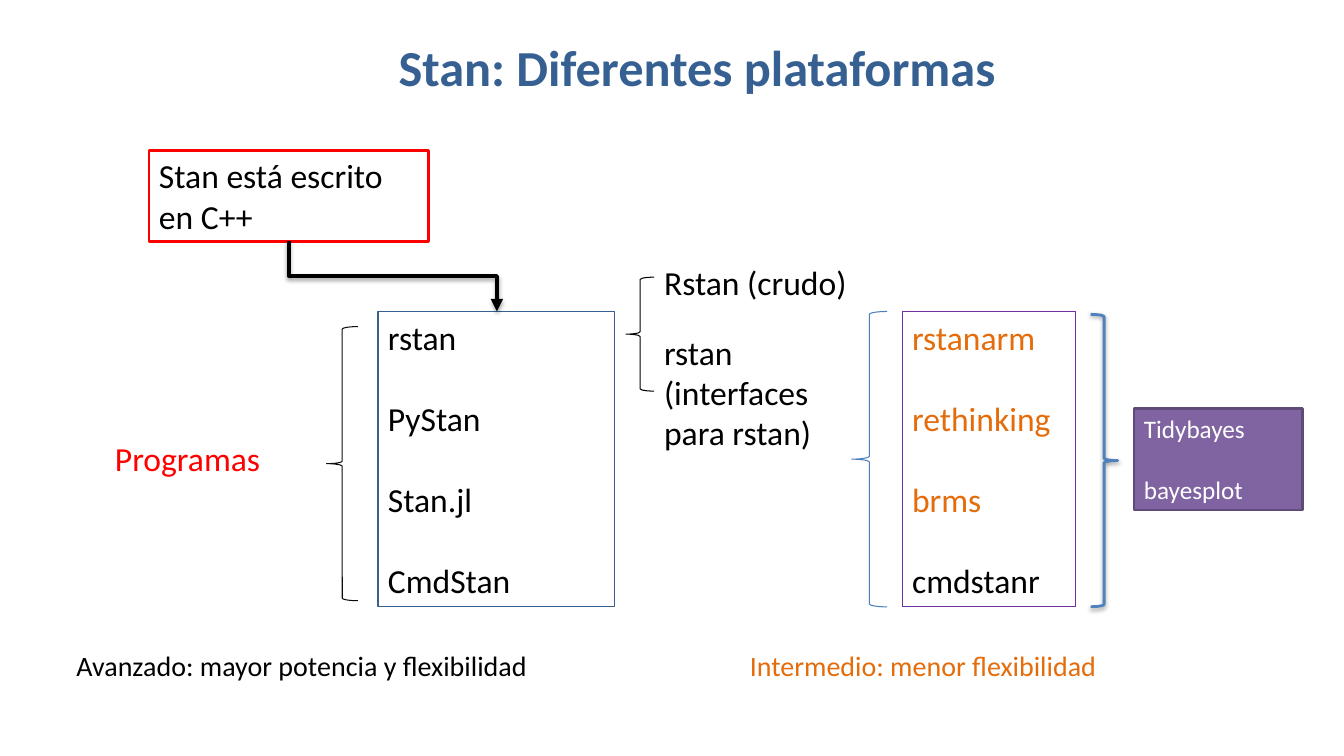
from lxml.etree import SubElement as Sub
from pptx import Presentation
from pptx.dml.color import RGBColor
from pptx.enum.shapes import MSO_CONNECTOR as Conn, MSO_SHAPE as Kind
from pptx.enum.text import MSO_ANCHOR as Anchor, PP_ALIGN as Align
from pptx.oxml.ns import qn
from pptx.util import Pt


def tint(code):
    return RGBColor.from_string(code)


def write(frame, rows, size, **look):
    frame.word_wrap = True
    frame.vertical_anchor = look.get("anchor", Anchor.TOP)
    for i, (text, hue) in enumerate(rows):
        para = frame.paragraphs[0] if i == 0 else frame.add_paragraph()
        para.alignment = look.get("align", Align.LEFT)
        if i:
            para.space_before = Pt(size * 1.22)
        run = para.add_run()
        run.text = text
        form = {"name": "Calibri", "size": Pt(size), "bold": look.get("bold", False)}
        for key, value in form.items():
            setattr(run.font, key, value)
        run.font.color.rgb = tint(hue)


BLACK, RED, ORANGE, NAVY, WHITE = "000000", "FF0000", "E46C0A", "376092", "FFFFFF"

deck = Presentation()
deck.slide_width, deck.slide_height = Pt(960), Pt(540)
slide = deck.slides.add_slide(deck.slide_layouts[5])
shapes = slide.shapes

title = shapes.title
place = {"left": 84, "top": -5, "width": 828, "height": 104.4}
for key, value in place.items():
    setattr(title, key, Pt(value))
write(title.text_frame, [("Stan: Diferentes plataformas", NAVY)], 36,
      bold=True, align=Align.CENTER, anchor=Anchor.MIDDLE)

tools = [(name, BLACK) for name in ("rstan", "PyStan", "Stan.jl", "CmdStan")]
packs = [(name, ORANGE) for name in ("rstanarm", "rethinking", "brms")]
packs.append(("cmdstanr", BLACK))
plots = [("Tidybayes", WHITE), ("bayesplot", WHITE)]
core = [("Stan está escrito en C++", BLACK)]

boxes = [
    ((270, 222.5, 169.2, 211), None, NAVY, 0.75, tools, 24),
    ((106.5, 107.3, 199.5, 65.5), WHITE, RED, 2, core, 24),
    ((644.4, 222.5, 123.8, 211), None, "7030A0", 0.75, packs, 24),
    ((810, 291.6, 120.3, 72.7), "8064A2", "5F4A78", 2, plots, 18),
]
for area, fill, edge, weight, rows, size in boxes:
    box = shapes.add_shape(Kind.RECTANGLE, *map(Pt, area))
    box.shadow.inherit = False
    if fill:
        box.fill.solid()
        box.fill.fore_color.rgb = tint(fill)
    else:
        box.fill.background()
    box.line.color.rgb = tint(edge)
    box.line.width = Pt(weight)
    write(box.text_frame, rows, size)

notes = [
    ((75, 309.6, 150.5, 36), "Programas", RED, 24),
    ((467.3, 183.3, 162.7, 36), "Rstan (crudo)", BLACK, 24),
    ((467.3, 233.3, 162.7, 94.3), "rstan (interfaces para rstan)", BLACK, 24),
    ((47.5, 459.4, 342.7, 31.7), "Avanzado: mayor potencia y flexibilidad", BLACK, 20),
    ((528.5, 459.4, 401.8, 31.7), "Intermedio: menor flexibilidad", ORANGE, 20),
]
for area, text, hue, size in notes:
    note = shapes.add_textbox(*map(Pt, area))
    write(note.text_frame, [(text, hue)], size)

braces = [
    (Kind.LEFT_BRACE, (233.3, 233.3, 22.3, 195.8), "0D0D0D", 0.75),
    (Kind.LEFT_BRACE, (447.1, 198, 20.2, 81.4), BLACK, 0.75),
    (Kind.LEFT_BRACE, (608.4, 222.5, 25.2, 211), "4B7EBC", 0.75),
    (Kind.RIGHT_BRACE, (779, 224.6, 19.4, 208.8), "4F81BD", 2),
]
for kind, area, hue, weight in braces:
    brace = shapes.add_shape(kind, *map(Pt, area))
    brace.shadow.inherit = False
    brace.fill.background()
    brace.line.color.rgb = tint(hue)
    brace.line.width = Pt(weight)

arrow = shapes.add_connector(Conn.ELBOW, Pt(306), Pt(123.1), Pt(255.6), Pt(271.4))
arrow.line.color.rgb = tint(BLACK)
arrow.line.width = Pt(3)
props = arrow._element.spPr
props.find(qn("a:xfrm")).set("rot", str(270 * 60000))
Sub(props.find(qn("a:ln")), qn("a:tailEnd"), type="triangle")
Sub(props, qn("a:effectLst"))

for part, drop, dim in ((arrow, 1.8, 35), (brace, 1.6, 38)):
    glow = part._element.spPr.find(qn("a:effectLst"))
    shade = Sub(glow, qn("a:outerShdw"), blurRad=str(Pt(3.1)), dist=str(Pt(drop)),
                dir=str(90 * 60000), rotWithShape="0")
    ink = Sub(shade, qn("a:srgbClr"), val=BLACK)
    Sub(ink, qn("a:alpha"), val=str(dim * 1000))

deck.save("out.pptx")
